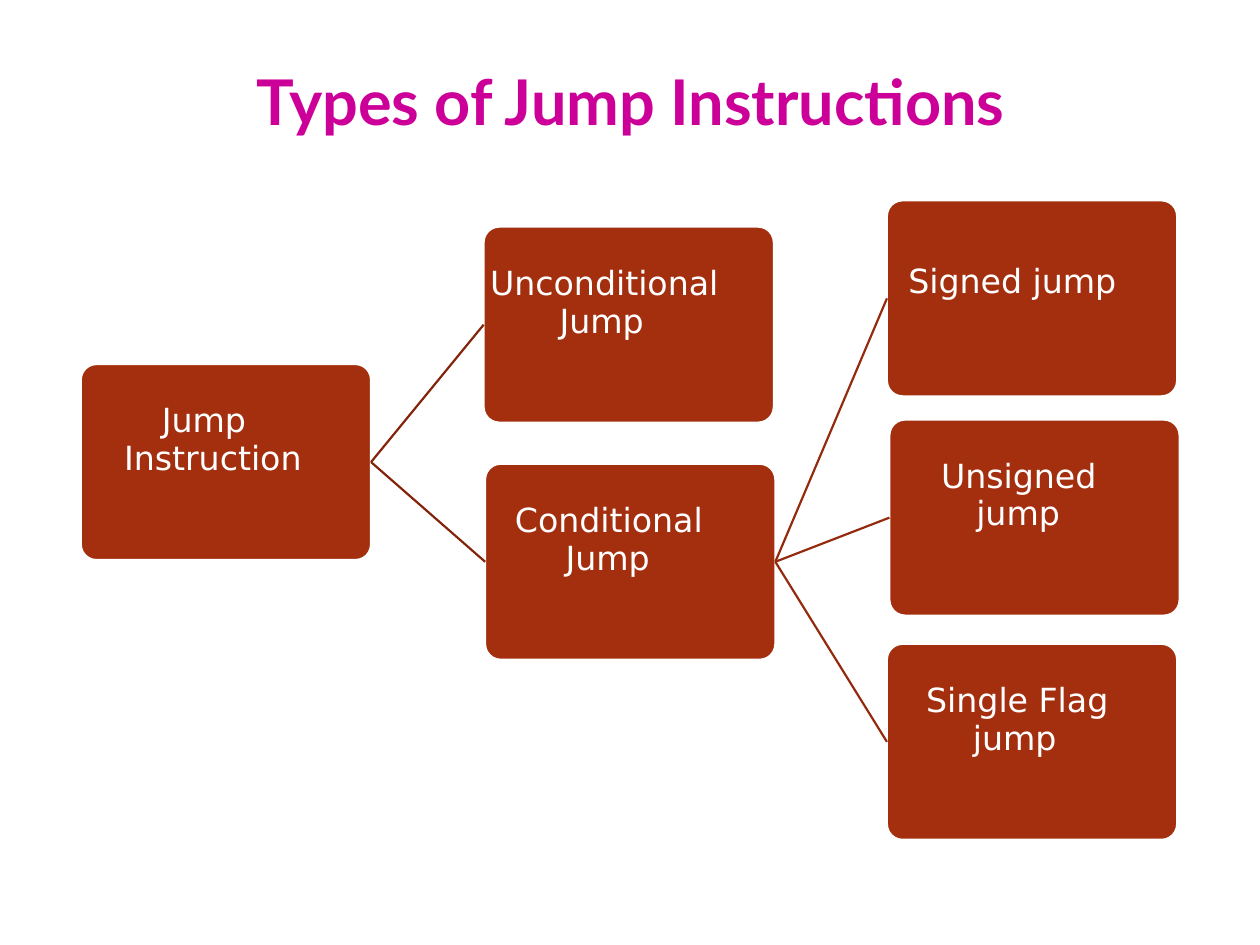
from dataclasses import dataclass

from pptx import Presentation
from pptx.dml.color import RGBColor
from pptx.enum.shapes import MSO_CONNECTOR, MSO_SHAPE
from pptx.enum.text import MSO_ANCHOR, MSO_AUTO_SIZE, PP_ALIGN
from pptx.oxml.ns import qn
from pptx.shapes.autoshape import Shape
from pptx.slide import Slide
from pptx.util import Cm, Pt
from lxml import etree

ROUNDED = MSO_SHAPE.ROUNDED_RECTANGLE
STRAIGHT = MSO_CONNECTOR.STRAIGHT
TOP, MIDDLE = MSO_ANCHOR.TOP, MSO_ANCHOR.MIDDLE
LEFT, CENTER = PP_ALIGN.LEFT, PP_ALIGN.CENTER
NO_AUTOFIT = MSO_AUTO_SIZE.NONE
LEFT_SITE, RIGHT_SITE = 1, 3  # connection sites of a rectangle
TITLE_ONLY = 5


@dataclass(frozen=True)
class Theme:
    title: RGBColor = RGBColor(0xCC, 0x00, 0x99)
    box: RGBColor = RGBColor(0xA4, 0x2F, 0x0F)
    white: RGBColor = RGBColor(0xFF, 0xFF, 0xFF)
    first_branch: RGBColor = RGBColor(0x83, 0x23, 0x09)
    second_branch: RGBColor = RGBColor(0x94, 0x2A, 0x0D)
    title_font: str = "Lato"
    box_font: str = "DejaVu Sans"
    title_size: Pt = Pt(36)
    box_size: Pt = Pt(19)
    line_spacing: Pt = Pt(21.5)
    border: Pt = Pt(1.19)
    branch: Pt = Pt(1.25)


@dataclass(frozen=True)
class Node:
    """A box of the tree; lengths in centimetres."""
    label: str
    left: float
    top: float
    side_margin: float
    first_indent: float = 0
    rest_indent: float = 0
    top_margin: float = 0.67


@dataclass(frozen=True)
class Branch:
    parent: str
    child: str
    color: RGBColor


THEME = Theme()
BOX_WIDTH, BOX_HEIGHT = Cm(5.85), Cm(3.95)
CORNER = 0.08

NODES = [
    Node("Jump Instruction", 1.63, 7.34, 0.78, first_indent=0.76),
    Node("Unconditional Jump", 9.75, 4.57, 0.04, rest_indent=1.4),
    Node("Conditional Jump", 9.78, 9.35, 0.51, rest_indent=1.02),
    Node("Signed jump", 17.88, 4.04, 0.34, top_margin=1.16),
    Node("Unsigned jump", 17.93, 8.46, 0.95, rest_indent=0.71),
    Node("Single Flag jump", 17.88, 12.98, 0.7, rest_indent=0.94),
]
BRANCHES = [
    Branch("Jump Instruction", "Unconditional Jump", THEME.first_branch),
    Branch("Jump Instruction", "Conditional Jump", THEME.first_branch),
    Branch("Conditional Jump", "Signed jump", THEME.second_branch),
    Branch("Conditional Jump", "Unsigned jump", THEME.second_branch),
    Branch("Conditional Jump", "Single Flag jump", THEME.second_branch),
]


def apply(target: object, values: dict) -> None:
    for attribute, value in values.items():
        setattr(target, attribute, value)


def add_title(slide: Slide, text: str) -> None:
    title = slide.shapes.title
    apply(title, {"left": Cm(1.96), "top": Cm(1.22),
                  "width": Cm(21.51), "height": Cm(1.57)})
    title.text = text
    apply(title.text_frame, {
        "margin_left": 0, "margin_right": 0, "margin_top": Cm(0.03),
        "margin_bottom": 0, "vertical_anchor": MIDDLE,
        "auto_size": NO_AUTOFIT, "word_wrap": True})
    paragraph = title.text_frame.paragraphs[0]
    paragraph.alignment = CENTER
    font = paragraph.runs[0].font
    apply(font, {"name": THEME.title_font, "size": THEME.title_size, "bold": True})
    font.color.rgb = THEME.title


def add_node(slide: Slide, node: Node) -> Shape:
    box = slide.shapes.add_shape(ROUNDED, Cm(node.left), Cm(node.top),
                                 BOX_WIDTH, BOX_HEIGHT)
    box.adjustments[0] = CORNER
    box.shadow.inherit = False
    box.fill.solid()
    box.fill.fore_color.rgb = THEME.box
    box.line.color.rgb = THEME.white
    box.line.width = THEME.border

    # Label, with the two lines indented separately
    apply(box.text_frame, {
        "margin_left": Cm(node.side_margin), "margin_right": Cm(node.side_margin),
        "margin_top": Cm(node.top_margin), "margin_bottom": 0,
        "vertical_anchor": TOP, "word_wrap": True})
    paragraph = box.text_frame.paragraphs[0]
    properties = paragraph._p.get_or_add_pPr()
    properties.set("marL", str(Cm(node.rest_indent)))
    properties.set("indent", str(Cm(node.first_indent - node.rest_indent)))
    apply(paragraph, {"alignment": LEFT, "line_spacing": THEME.line_spacing})
    run = paragraph.add_run()
    run.text = node.label
    apply(run.font, {"name": THEME.box_font, "size": THEME.box_size})
    run.font.color.rgb = THEME.white
    return box


def add_branch(slide: Slide, parent: Shape, child: Shape, color: RGBColor) -> None:
    line = slide.shapes.add_connector(STRAIGHT, 0, 0, 0, 0)
    line.begin_connect(parent, RIGHT_SITE)
    line.end_connect(child, LEFT_SITE)
    line.line.color.rgb = color
    line.line.width = THEME.branch
    etree.SubElement(line._element.spPr, qn("a:effectLst"))


def main() -> None:
    presentation = Presentation()
    apply(presentation, {"slide_width": Cm(25.4), "slide_height": Cm(19.05)})
    slide = presentation.slides.add_slide(presentation.slide_layouts[TITLE_ONLY])

    add_title(slide, "Types of Jump Instructions")

    # Tree of jump types
    boxes = {node.label: add_node(slide, node) for node in NODES}
    for branch in BRANCHES:
        add_branch(slide, boxes[branch.parent], boxes[branch.child], branch.color)

    presentation.save("out.pptx")


if __name__ == "__main__":
    main()
